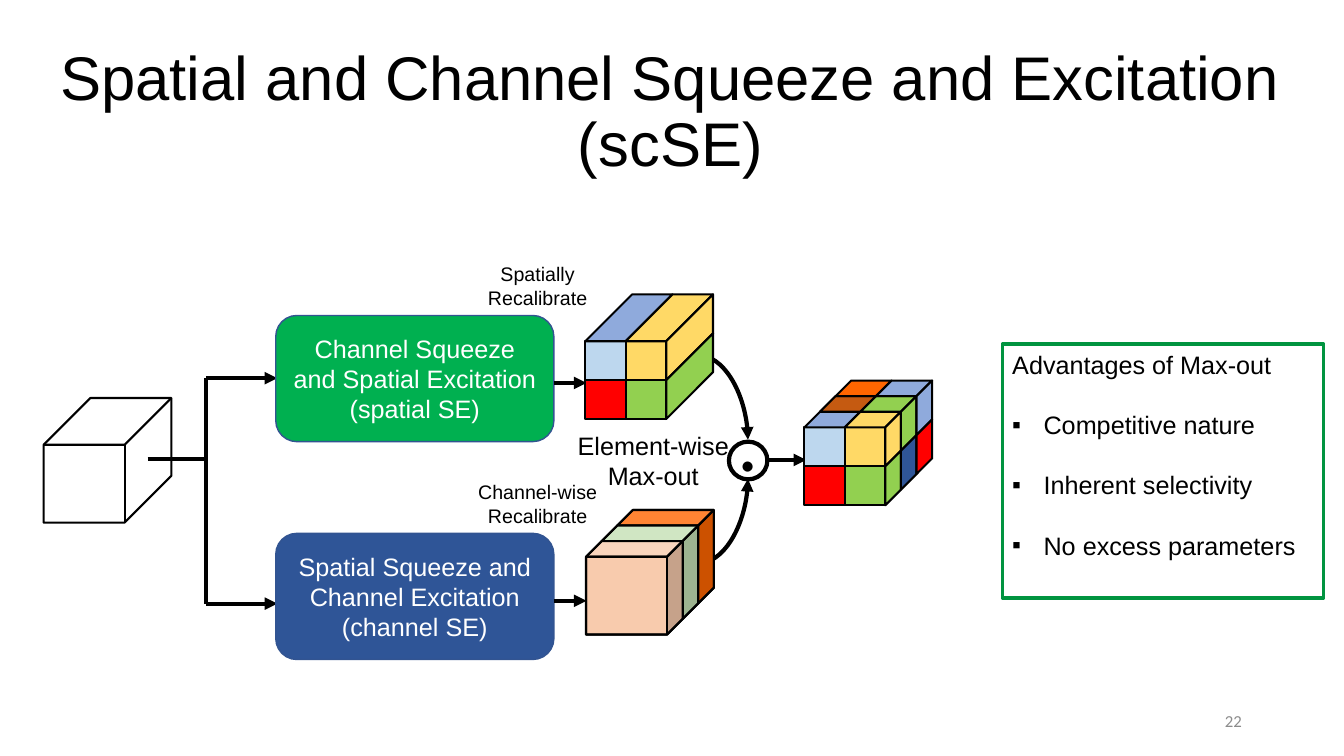
from lxml import etree
from pptx import Presentation
from pptx.dml.color import RGBColor
from pptx.enum.shapes import MSO_CONNECTOR, MSO_SHAPE
from pptx.enum.text import MSO_ANCHOR, PP_ALIGN
from pptx.oxml.ns import qn
from pptx.util import Cm, Pt

RECT, ROUND, OVAL = MSO_SHAPE.RECTANGLE, MSO_SHAPE.ROUNDED_RECTANGLE, MSO_SHAPE.OVAL
CUBE, SLANT = MSO_SHAPE.CUBE, MSO_SHAPE.PARALLELOGRAM
STRAIGHT, CURVE = MSO_CONNECTOR.STRAIGHT, MSO_CONNECTOR.CURVE
TOP, MIDDLE = MSO_ANCHOR.TOP, MSO_ANCHOR.MIDDLE
LEFT, CENTER, RIGHT = PP_ALIGN.LEFT, PP_ALIGN.CENTER, PP_ALIGN.RIGHT

BLACK = RGBColor(0, 0, 0)
WHITE = RGBColor(255, 255, 255)
GRAY = RGBColor(0x8C, 0x8C, 0x8C)
GREEN = RGBColor(0x00, 0xB0, 0x50)
NAVY = RGBColor(0x2F, 0x55, 0x97)
EDGE = RGBColor(0x32, 0x54, 0x91)
FRAME = RGBColor(0x01, 0x94, 0x40)
SKY = RGBColor(0xBD, 0xD7, 0xEE)
BLUE = RGBColor(0x8F, 0xAA, 0xDC)
YELLOW = RGBColor(0xFF, 0xD9, 0x66)
LIME = RGBColor(0x92, 0xD0, 0x50)
RED = RGBColor(0xFF, 0, 0)
ORANGE = RGBColor(0xFF, 0x66, 0)
RUST = RGBColor(0xC5, 0x5A, 0x11)
SAGE = RGBColor(0xC5, 0xE0, 0xB4)
PEACH = RGBColor(0xF8, 0xCB, 0xAD)

CELL_W, CELL_H, DEPTH = 1.02, 0.98, 1.18
FACE_W, FACE_H = 2 * CELL_W, 2 * CELL_H


def style(frame, size, color, align, font="Arial"):
    for par in frame.paragraphs:
        par.alignment = align
        par.font.size = Pt(size)
        for run in par.runs:
            run.font.size = Pt(size)
            run.font.name = font
            run.font.color.rgb = color


def label(slide, box, text, size, color=BLACK, align=CENTER, font="Arial",
          wrap=False, anchor=TOP):
    frame = slide.shapes.add_textbox(*map(Cm, box)).text_frame
    frame.word_wrap = wrap
    frame.vertical_anchor = anchor
    frame.text = text
    style(frame, size, color, align, font)
    return frame


def block(slide, kind, box, fill=None, line=BLACK, width=1.5, adjust=None):
    shape = slide.shapes.add_shape(kind, *map(Cm, box))
    shape.shadow.inherit = False
    if fill is None:
        shape.fill.background()
    else:
        shape.fill.solid()
        shape.fill.fore_color.rgb = fill
    shape.line.color.rgb = line
    shape.line.width = Pt(width)
    if adjust is not None:
        shape.adjustments[0] = adjust
    return shape


def link(slide, start, end, arrow=True, kind=STRAIGHT):
    line = slide.shapes.add_connector(kind, *map(Cm, (*start, *end)))
    line.line.color.rgb = BLACK
    line.line.width = Pt(3)
    props = line._element.spPr
    if kind == CURVE:
        props.find(qn("a:prstGeom")).set("prst", "curvedConnector2")
    if arrow:
        etree.SubElement(line.line._get_or_add_ln(), qn("a:tailEnd"), type="triangle")
    etree.SubElement(props, qn("a:effectLst"))


def solid(slide, left, top):
    height = FACE_H + DEPTH
    block(slide, CUBE, (left, top, FACE_W + DEPTH, height), adjust=DEPTH / height)


def lid(slide, left, top, step, fill):
    block(slide, SLANT, (left, top, CELL_W + step, step), fill, adjust=1)


def side(slide, left, top, step, fill):
    span = CELL_H + step
    shift = (span - step) / 2
    shape = block(slide, SLANT, (left - shift, top + shift, span, step), fill, adjust=1)
    shape.rotation = 90
    shape._element.spPr.find(qn("a:xfrm")).set("flipV", "1")


def mosaic(slide, left, top, layers):
    front = top + DEPTH
    for spot, fill in enumerate((SKY, YELLOW, RED, LIME)):
        row, col = divmod(spot, 2)
        block(slide, RECT, (left + col * CELL_W, front + row * CELL_H, CELL_W, CELL_H), fill)
    step = DEPTH / len(layers)
    for rank, (near, far, low) in enumerate(layers):
        x, y = left + rank * step, front - (rank + 1) * step
        lid(slide, x, y, step, near)
        lid(slide, x + CELL_W, y, step, far)
        side(slide, x + FACE_W, y, step, far)
        side(slide, x + FACE_W, y + CELL_H, step, low)


def slabs(slide, left, top, fills):
    step = DEPTH / len(fills)
    for rank, fill in enumerate(fills):
        back = len(fills) - 1 - rank
        block(slide, CUBE, (left + back * step, top + rank * step, FACE_W + step, FACE_H + step),
              fill, adjust=step / (FACE_H + step))
    solid(slide, left, top)


def heading(slide, box):
    frame = label(slide, box, "Spatial and Channel Squeeze and Excitation (scSE)", 44,
                  wrap=True, anchor=MIDDLE)
    frame.paragraphs[0].line_spacing = 0.9


def source(slide, left, top):
    solid(slide, left, top)
    trunk, stem = left + 4.09, top + 1.53
    high, low = top - 0.5, top + 5.18
    link(slide, (trunk, high), (trunk, low), False)
    link(slide, (left + 2.62, stem), (trunk, stem), False)
    for y in (high, low):
        link(slide, (trunk, y), (trunk + 1.8, y))


def branch(slide, left, top, text, fill, note):
    shape = block(slide, ROUND, (left, top, 7.01, 3.18), fill, EDGE, 1)
    frame = shape.text_frame
    frame.word_wrap = True
    frame.vertical_anchor = MIDDLE
    frame.text = text
    style(frame, 18, WHITE, CENTER)
    link(slide, (left + 7.01, top + 1.7), (left + 7.83, top + 1.7))
    label(slide, (left + 4.6, top - 1.47, 4, 1.45), note, 14)


def merge(slide, left, top):
    label(slide, (left - 4.09, top - 0.41, 4.37, 1.8), "Element-wise\vMax-out", 18)
    block(slide, OVAL, (left, top, 0.97, 0.95), width=3)
    label(slide, (left - 0.03, top - 1.5, 1.04, 2.82), ".", 60, align=LEFT, font="Calibri")
    link(slide, (left + 0.99, top + 0.46), (left + 1.95, top + 0.46))
    for start, end in ((-2.18, -0.05), (3.07, 0.94)):
        link(slide, (left - 0.78, top + start), (left + 0.48, top + end), kind=CURVE)


def merits(slide, box):
    frame = block(slide, RECT, box, line=FRAME, width=2.25).text_frame
    frame.word_wrap = True
    frame.vertical_anchor = TOP
    frame.text = ("Advantages of Max-out\nCompetitive nature\n"
                  "Inherent selectivity\nNo excess parameters")
    for par in frame.paragraphs[1:]:
        props = par._p.get_or_add_pPr()
        props.set("marL", str(Cm(0.79)))
        props.set("indent", str(-Cm(0.79)))
        etree.SubElement(props, qn("a:buFont"), typeface="Arial")
        etree.SubElement(props, qn("a:buChar"), char="▪")
        par.space_before = Pt(21.5)
    style(frame, 18, BLACK, LEFT)


def main():
    deck = Presentation()
    deck.slide_width, deck.slide_height = Cm(33.87), Cm(19.05)
    slide = deck.slides.add_slide(deck.slide_layouts[6])
    heading(slide, (0.97, 1.02, 31.85, 3.68))
    source(slide, 1.1, 10.03)
    branch(slide, 6.95, 7.95, "Channel Squeeze and Spatial Excitation (spatial SE)",
           GREEN, "Spatially\vRecalibrate")
    branch(slide, 6.95, 13.44, "Spatial Squeeze and Channel Excitation (channel SE)",
           NAVY, "Channel-wise\vRecalibrate")
    merge(slide, 18.37, 11.13)
    mosaic(slide, 14.75, 7.42, [(BLUE, YELLOW, LIME)])
    slabs(slide, 14.77, 12.85, (ORANGE, SAGE, PEACH))
    mosaic(slide, 20.27, 9.59, [(BLUE, YELLOW, LIME), (RUST, LIME, NAVY), (ORANGE, BLUE, RED)])
    merits(slide, (25.26, 8.67, 8.1, 6.4))
    label(slide, (23.93, 17.65, 7.62, 1.02), "22", 12, GRAY, RIGHT, "Calibri", True, MIDDLE)
    deck.save("out.pptx")


if __name__ == "__main__":
    main()
